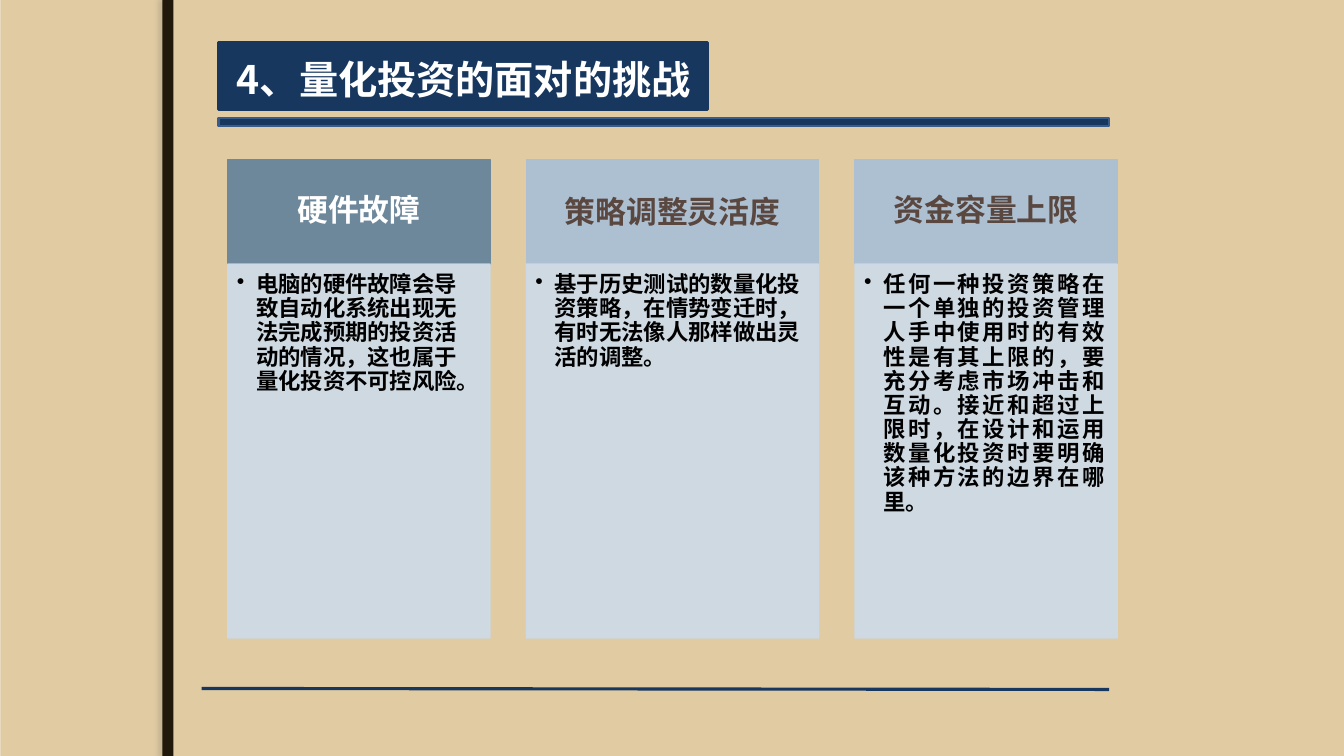
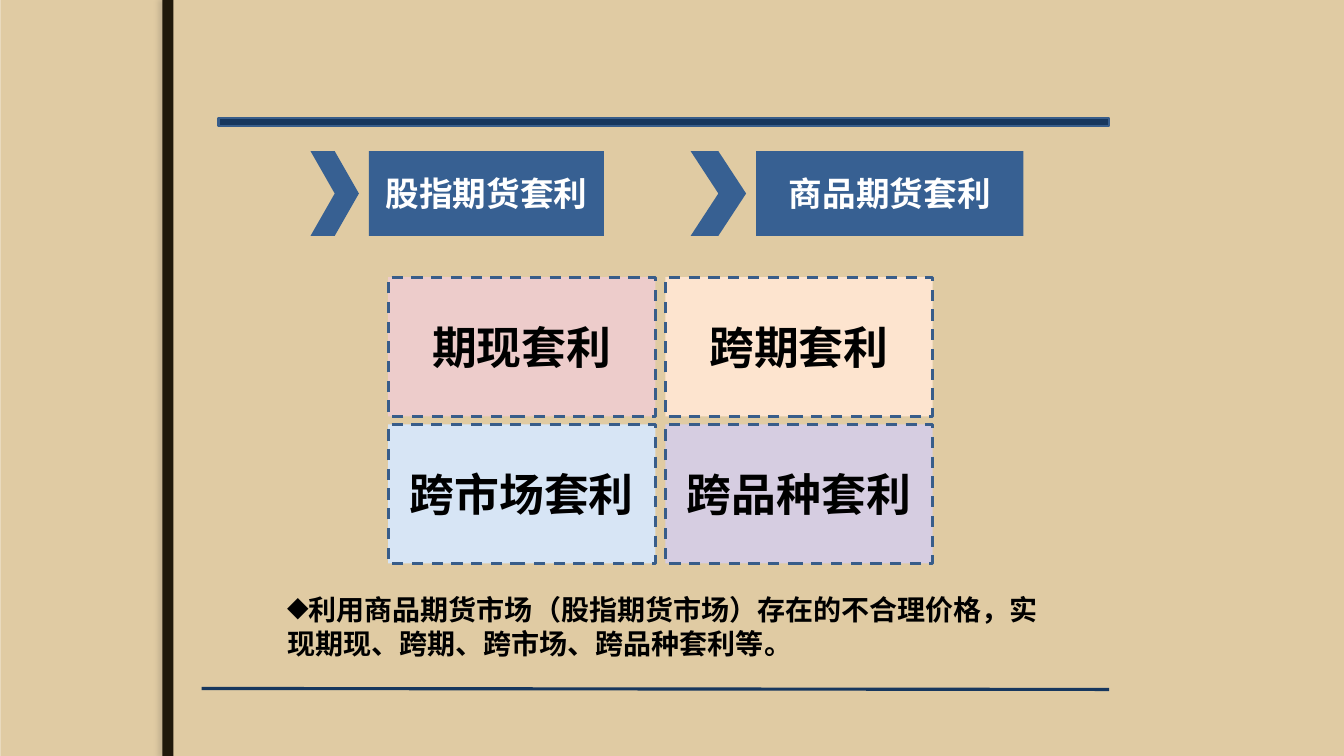
from dataclasses import dataclass
from typing import Any

from lxml.etree import SubElement
from pptx import Presentation
from pptx.dml.color import RGBColor
from pptx.enum.dml import MSO_LINE
from pptx.enum.shapes import MSO_CONNECTOR, MSO_SHAPE
from pptx.enum.text import MSO_ANCHOR, PP_ALIGN
from pptx.oxml.ns import qn
from pptx.util import Pt

PX = 9144  # 100 px to the inch
FONT = "Noto Sans CJK SC"
RECT, CHEVRON = MSO_SHAPE.RECTANGLE, MSO_SHAPE.CHEVRON
LINE, DASH = MSO_CONNECTOR.STRAIGHT, MSO_LINE.DASH
TOP, MIDDLE = MSO_ANCHOR.TOP, MSO_ANCHOR.MIDDLE
LEFT, CENTER, JUSTIFY = PP_ALIGN.LEFT, PP_ALIGN.CENTER, PP_ALIGN.JUSTIFY

COLORS = {
    "back": "EBDDC3", "sand": "E0CBA3", "band": "20190B", "shade": "766E60",
    "navy": "17375E", "edge": "385D8A", "blue": "376092",
    "slate": "6D879B", "mist": "ACC0D2", "pale": "CDDBE8", "brown": "594740",
    "white": "FFFFFF", "black": "000000",
    "pink": "EDCCCB", "peach": "FDE4CF", "sky": "D7E5F5", "lilac": "D6CDE1",
}


@dataclass(frozen=True)
class Box:
    x: int
    y: int
    w: int
    h: int


@dataclass(frozen=True)
class Style:
    size: int
    color: str
    align: Any = CENTER
    anchor: Any = MIDDLE
    inset: tuple[int, int, int, int] = (10, 5, 10, 5)
    lead: float = 1.0
    bullet: str = ""
    indent: int = 0


@dataclass(frozen=True)
class Column:
    x: int
    w: int
    head: str
    body: str
    fill: str = "mist"
    ink: str = "brown"
    lead: float = 0.9
    align: Any = LEFT


@dataclass(frozen=True)
class Label:
    x: int
    tip: int
    w: int
    text: str


COLUMNS = (
    Column(226, 260, "硬件故障",
           "电脑的硬件故障会导致自动化系统出现无法完成预期的投资活动的情况，这也属于量化投资不可控风险。",
           "slate", "white"),
    Column(522, 290, "策略调整灵活度",
           "基于历史测试的数量化投资策略，在情势变迁时，有时无法像人那样做出灵活的调整。",
           lead=1.0),
    Column(848, 260, "资金容量上限",
           "任何一种投资策略在一个单独的投资管理人手中使用时的有效性是有其上限的，"
           "要充分考虑市场冲击和互动。接近和超过上限时，在设计和运用数量化投资时要明确该种方法的边界在哪里。",
           align=JUSTIFY),
)
LABELS = (Label(308, 48, 233, "股指期货套利"), Label(685, 55, 265, "商品期货套利"))
TILES = (("期现套利", "pink"), ("跨期套利", "peach"),
         ("跨市场套利", "sky"), ("跨品种套利", "lilac"))


def rgb(name: str) -> RGBColor:
    return RGBColor.from_string(COLORS[name])


def place(box: Box) -> tuple[int, int, int, int]:
    return box.x * PX, box.y * PX, box.w * PX, box.h * PX


def write(shape: Any, text: str, style: Style) -> None:
    frame = shape.text_frame
    frame.word_wrap = True
    frame.vertical_anchor = style.anchor
    (frame.margin_left, frame.margin_top,
     frame.margin_right, frame.margin_bottom) = (n * PX for n in style.inset)
    para = frame.paragraphs[0]
    para.text = text
    para.alignment = style.align
    para.line_spacing = style.lead
    props = para._p.get_or_add_pPr()
    if style.bullet:
        props.set("marL", str(style.indent * PX))
        props.set("indent", str(-style.indent * PX))
        SubElement(props, qn("a:buChar"), char=style.bullet)
    font = para.font
    font.size, font.bold, font.name = Pt(style.size), True, FONT
    font.color.rgb = rgb(style.color)
    SubElement(props.find(qn("a:defRPr")), qn("a:ea"), typeface=FONT)


def draw(slide: Any, box: Box, fill: str, edge: str = "", width: float = 2,
         kind: Any = RECT) -> Any:
    shape = slide.shapes.add_shape(kind, *place(box))
    shape.shadow.inherit = False
    shape.fill.solid()
    shape.fill.fore_color.rgb = rgb(fill)
    if edge:
        shape.line.color.rgb = rgb(edge)
        shape.line.width = Pt(width)
    else:
        shape.line.fill.background()
    return shape


def fade(shape: Any, share: int) -> None:
    for color in shape._element.spPr.iter(qn("a:srgbClr")):
        SubElement(color, qn("a:alpha"), val=str(share * 1000))


def note(slide: Any, box: Box, text: str, style: Style) -> None:
    write(slide.shapes.add_textbox(*place(box)), text, style)


def start(deck: Any) -> Any:
    """Add a slide with the shared backdrop, side band and rules."""
    slide = deck.slides.add_slide(deck.slide_layouts[6])
    back = slide.background.fill
    back.solid()
    back.fore_color.rgb = rgb("back")
    draw(slide, Box(1, 0, 1332, 750), "sand")

    # Side band with a soft shadow to the left
    band = draw(slide, Box(161, 0, 11, 750), "band")
    glow = SubElement(band._element.spPr.find(qn("a:effectLst")), qn("a:outerShdw"),
                      blurRad=str(Pt(3)), dist=str(Pt(3)), dir="10800000")
    tint = SubElement(glow, qn("a:srgbClr"), val=COLORS["shade"])
    SubElement(tint, qn("a:alpha"), val="25000")

    # Upper bar and lower rule
    draw(slide, Box(217, 117, 883, 8), "navy", "edge")
    rule = slide.shapes.add_connector(LINE, 200 * PX, 683 * PX, 1100 * PX, 684 * PX)
    rule.line.color.rgb = rgb("navy")
    rule.line.width = Pt(2.25)
    SubElement(rule._element.spPr, qn("a:effectLst"))
    return slide


def risks(deck: Any) -> None:
    slide = start(deck)
    draw(slide, Box(217, 42, 485, 67), "navy", "navy")
    note(slide, Box(225, 50, 498, 57), "4、量化投资的面对的挑战",
         Style(28, "white", LEFT, TOP))
    for col in COLUMNS:
        head = draw(slide, Box(col.x, 158, col.w, 104), col.fill, col.fill, 1)
        write(head, col.head,
              Style(22, col.ink, inset=(17, 10, 17, 10), lead=col.lead))
        body = draw(slide, Box(col.x, 262, col.w, 371), "pale", "pale", 1)
        fade(body, 90)
        write(body, col.body, Style(16, "black", col.align, TOP, (9, 9, 12, 14),
                                    0.9, "•", 19))


def trades(deck: Any) -> None:
    slide = start(deck)
    # Chevron labels
    for label in LABELS:
        draw(slide, Box(label.x, 150, label.tip, 84), "blue", kind=CHEVRON)
        plate = draw(slide, Box(label.x + label.tip + 10, 150, label.w, 84), "blue")
        write(plate, label.text, Style(24, "white"))

    # Two by two grid of tiles
    for i, (text, fill) in enumerate(TILES):
        row, col = divmod(i, 2)
        tile = draw(slide, Box(385 + col * 275, 275 + row * 146, 265, 138), fill, "edge")
        tile.line.dash_style = DASH
        write(tile, text, Style(32, "black"))

    note(slide, Box(275, 583, 783, 111),
         "利用商品期货市场（股指期货市场）存在的不合理价格，实现期现、跨期、跨市场、跨品种套利等。",
         Style(20, "black", LEFT, TOP, bullet="◆"))


def main() -> None:
    deck = Presentation()
    deck.slide_width, deck.slide_height = 1333 * PX, 750 * PX
    risks(deck)
    trades(deck)
    deck.save("out.pptx")


if __name__ == "__main__":
    main()
